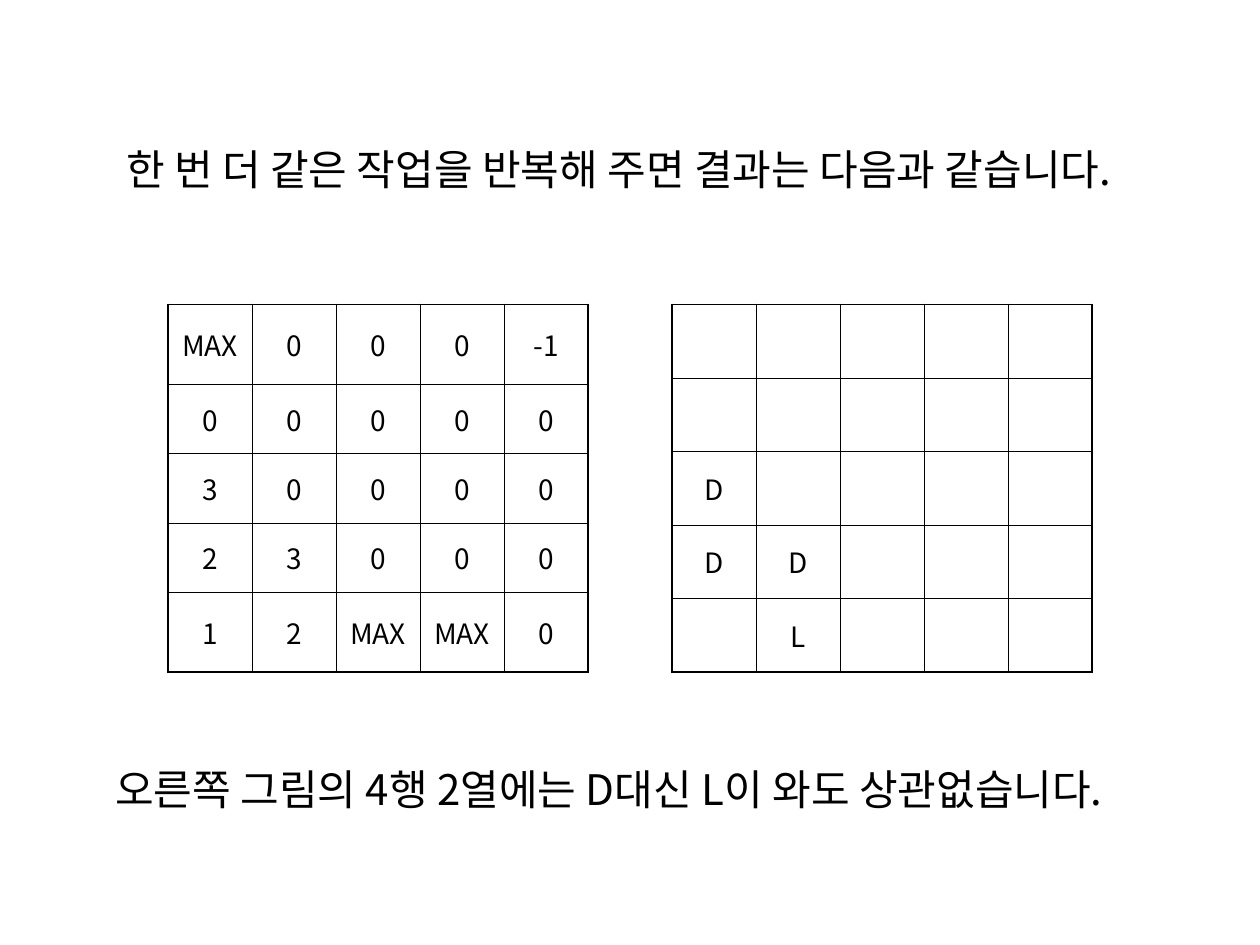
from dataclasses import dataclass

from lxml import etree
from pptx import Presentation
from pptx import util as u
from pptx.dml.color import RGBColor
from pptx.enum import text
from pptx.oxml import ns

BLACK = RGBColor(0, 0, 0)
FONT = "Noto Sans CJK KR"
OUTER, INNER = u.Pt(1.08), u.Pt(0.45)
COL_WIDTH = 48


@dataclass
class Grid:
    left: float
    top: float
    row_heights: list[float]
    values: list[list[str]]


@dataclass
class Sentence:
    left: float
    top: float
    wording: str


def add_run(p, wording: str, size: float) -> None:
    r = p.add_run()
    r.text = wording
    r.font.size = u.Pt(size)
    r.font.name = FONT
    r.font.color.rgb = BLACK
    ea = etree.SubElement(r._r.get_or_add_rPr(), ns.qn("a:ea"))
    ea.set("typeface", FONT)


def write_sentence(sp, sentence: Sentence) -> None:
    sp.left, sp.top = u.Pt(sentence.left), u.Pt(sentence.top)
    sp.width, sp.height = u.Pt(618), u.Pt(90)
    tf = sp.text_frame
    tf.word_wrap = True
    tf.auto_size = text.MSO_AUTO_SIZE.NONE
    tf.vertical_anchor = text.MSO_ANCHOR.MIDDLE
    p = tf.paragraphs[0]
    p.alignment = text.PP_ALIGN.LEFT
    p.line_spacing = 0.82
    pPr = p._p.get_or_add_pPr()
    pPr.set("marL", "0")
    pPr.set("indent", str(u.Pt(10.8)))
    add_run(p, sentence.wording, 24)


def set_border(cell, side: str, width: int) -> None:
    ln = etree.SubElement(cell._tc.get_or_add_tcPr(), ns.qn(f"a:ln{side}"), w=str(width))
    fill = etree.SubElement(ln, ns.qn("a:solidFill"))
    etree.SubElement(fill, ns.qn("a:srgbClr"), val=str(BLACK))


def add_grid(s, grid: Grid) -> None:
    n_rows, n_cols = len(grid.values), len(grid.values[0])
    table = s.shapes.add_table(
        n_rows, n_cols, u.Pt(grid.left), u.Pt(grid.top),
        u.Pt(COL_WIDTH * n_cols), u.Pt(sum(grid.row_heights))).table
    table.first_row = table.horz_banding = False
    for column in table.columns:
        column.width = u.Pt(COL_WIDTH)
    for i, (height, row) in enumerate(zip(grid.row_heights, grid.values)):
        table.rows[i].height = u.Pt(height)
        for j, value in enumerate(row):
            cell = table.cell(i, j)
            # Thick lines run around the outside only
            edges = {"L": j == 0, "R": j == n_cols - 1,
                     "T": i == 0, "B": i == n_rows - 1}
            for side, is_outer in edges.items():
                set_border(cell, side, OUTER if is_outer else INNER)
            cell.fill.background()
            cell.vertical_anchor = text.MSO_ANCHOR.MIDDLE
            if value:
                p = cell.text_frame.paragraphs[0]
                p.alignment = text.PP_ALIGN.CENTER
                p.space_before = u.Pt(4)
                add_run(p, value, 16)


TITLE = Sentence(54, 54, "한 번 더 같은 작업을 반복해 주면 결과는 다음과 같습니다.")
REMARK = Sentence(48, 408, "오른쪽 그림의 4행 2열에는 D대신 L이 와도 상관없습니다.")

COUNTS = Grid(96, 174, [45.6, 39.6, 39.6, 39.6, 45.6], [
    ["MAX", "0", "0", "0", "-1"],
    ["0", "0", "0", "0", "0"],
    ["3", "0", "0", "0", "0"],
    ["2", "3", "0", "0", "0"],
    ["1", "2", "MAX", "MAX", "0"],
])
DIRECTIONS = Grid(384, 174, [42] * 5, [
    ["", "", "", "", ""],
    ["", "", "", "", ""],
    ["D", "", "", "", ""],
    ["D", "D", "", "", ""],
    ["", "L", "", "", ""],
])


def main() -> None:
    prs = Presentation()
    prs.slide_width, prs.slide_height = u.Pt(720), u.Pt(540)
    s = prs.slides.add_slide(prs.slide_layouts[5])

    # Title, count table, remark, direction table
    write_sentence(s.shapes.title, TITLE)
    add_grid(s, COUNTS)
    write_sentence(s.shapes.add_textbox(0, 0, 0, 0), REMARK)
    add_grid(s, DIRECTIONS)

    prs.save("out.pptx")


if __name__ == "__main__":
    main()
